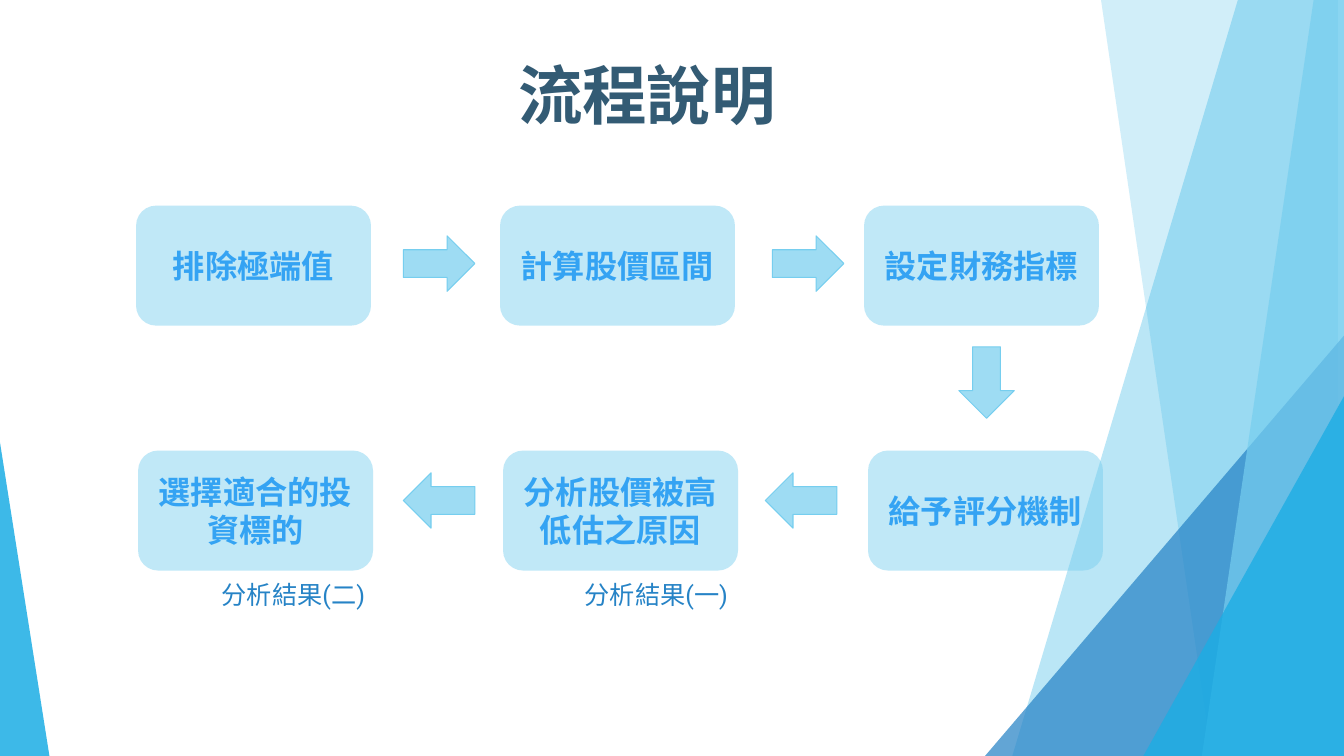
from pptx import Presentation
from pptx.util import Inches, Pt
from pptx.dml.color import RGBColor
from pptx.enum.shapes import MSO_SHAPE as SHAPE
from pptx.enum.text import PP_ALIGN, MSO_ANCHOR as ANCHOR
from pptx.oxml.xmlchemy import OxmlElement

prs = Presentation()
prs.slide_width, prs.slide_height = Inches(13.33), Inches(7.5)
s = prs.slides.add_slide(prs.slide_layouts[6])


def paint(sp, color, opacity, line=None):
    sp.shadow.inherit = False
    sp.fill.solid()
    sp.fill.fore_color.rgb = RGBColor.from_string(color)
    alpha = OxmlElement("a:alpha")
    alpha.set("val", str(opacity * 1000))
    sp.fill._xPr.find(".//{*}srgbClr").append(alpha)
    if line:
        sp.line.color.rgb = RGBColor.from_string(line)
        sp.line.width = Pt(0.75)
    else:
        sp.line.fill.background()


def write(sp, text, size, font, color, bold=False, align=PP_ALIGN.CENTER,
          anchor=ANCHOR.TOP, pad=0.1):
    tf = sp.text_frame
    tf.word_wrap = True
    tf.vertical_anchor = anchor
    tf.margin_left = tf.margin_right = Inches(0.1)
    tf.margin_top = tf.margin_bottom = Inches(pad)
    p = tf.paragraphs[0]
    p.text, p.alignment = text, align
    p.font.size, p.font.name, p.font.bold = Pt(size), font, bold
    p.font.color.rgb = RGBColor.from_string(color)


# Background facets: polygons by corner points, triangles by box and apex
facets = [
    ([(12.28, -0.01), (13.33, -0.01), (13.33, 7.5), (10.04, 7.5)], "1CADE4", 30),
    ([(10.92, 0), (13.27, 0), (13.27, 7.51), (12.02, 7.51)], "1CADE4", 20),
    ((9.77, 3.33, 3.56, 4.17, 1), "2683C6", 72),
    ([(13.03, -0.01), (13.33, -0.01), (13.33, 7.5), (11.92, 7.5)], "76CEEF", 70),
    ((11.34, 3.93, 1.99, 3.57, 1), "1CADE4", 80),
    ((0, 4.39, 0.49, 3.11, 0), "1CADE4", 85),
]
for outline, color, opacity in facets:
    if isinstance(outline, list):
        points = [(Inches(x), Inches(y)) for x, y in outline]
        fb = s.shapes.build_freeform(*points[0])
        fb.add_line_segments(points[1:], close=True)
        sp = fb.convert_to_shape()
    else:
        *box, apex = outline
        sp = s.shapes.add_shape(SHAPE.ISOSCELES_TRIANGLE, *map(Inches, box))
        sp.adjustments[0] = apex
    paint(sp, color, opacity)

# Title
title = s.shapes.add_textbox(*map(Inches, (3.08, 0.5, 6.67, 0.88)))
write(title, "流程說明", 46, "Roboto", "335B74", bold=True, pad=0.05)

# Arrows between the steps
RIGHT, LEFT = SHAPE.RIGHT_ARROW, SHAPE.LEFT_ARROW
for kind, x, y, turn in [(RIGHT, 4, 2.34, 0), (RIGHT, 7.66, 2.34, 0),
                         (RIGHT, 9.43, 3.52, 90),
                         (LEFT, 7.59, 4.69, 0), (LEFT, 4, 4.69, 0)]:
    arrow = s.shapes.add_shape(kind, *map(Inches, (x, y, 0.71, 0.55)))
    arrow.rotation = turn
    paint(arrow, "76CEEF", 70, line="76CEEF")

# Steps: top row runs right, bottom row runs back left
rows = [
    (1.35, 3.61, 2.04, ["排除極端值", "計算股價區間", "設定財務指標"]),
    (1.37, 3.62, 4.47, ["選擇適合的投資標的", "分析股價被高低估之原因", "給予評分機制"]),
]
for left, pitch, top, steps in rows:
    for col, text in enumerate(steps):
        step = s.shapes.add_shape(
            SHAPE.ROUNDED_RECTANGLE,
            *map(Inches, (left + col * pitch, top, 2.33, 1.19)))
        paint(step, "76CEEF", 46)
        write(step, text, 23, "Arial", "34A3F3", bold=True, anchor=ANCHOR.MIDDLE)

# Captions under the bottom row
for x, text in [(5.7, "分析結果(一)"), (2.1, "分析結果(二)")]:
    caption = s.shapes.add_textbox(*map(Inches, (x, 5.65, 1.76, 0.5)))
    write(caption, text, 18, "Roboto", "2683C6", align=PP_ALIGN.LEFT)

prs.save("out.pptx")
